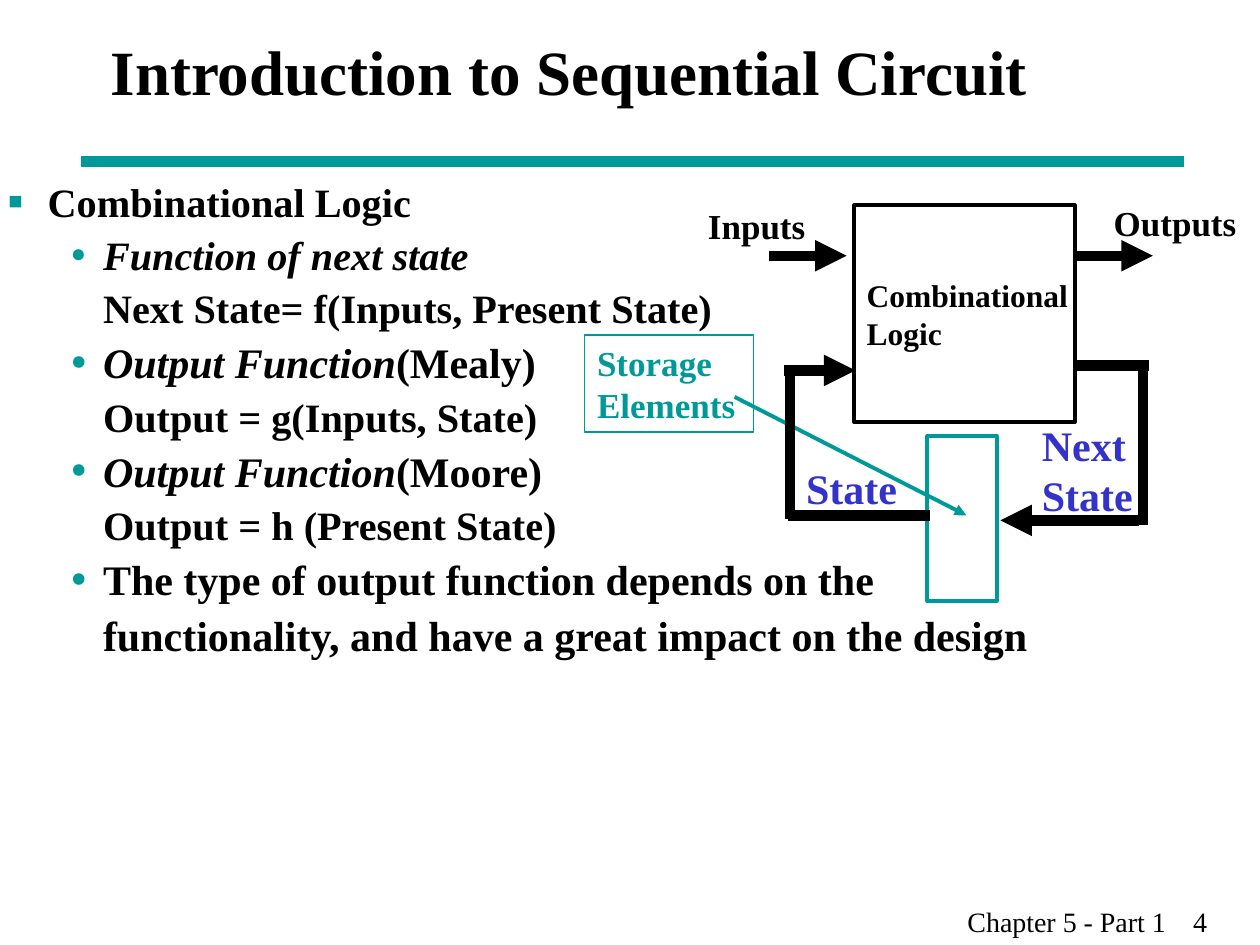
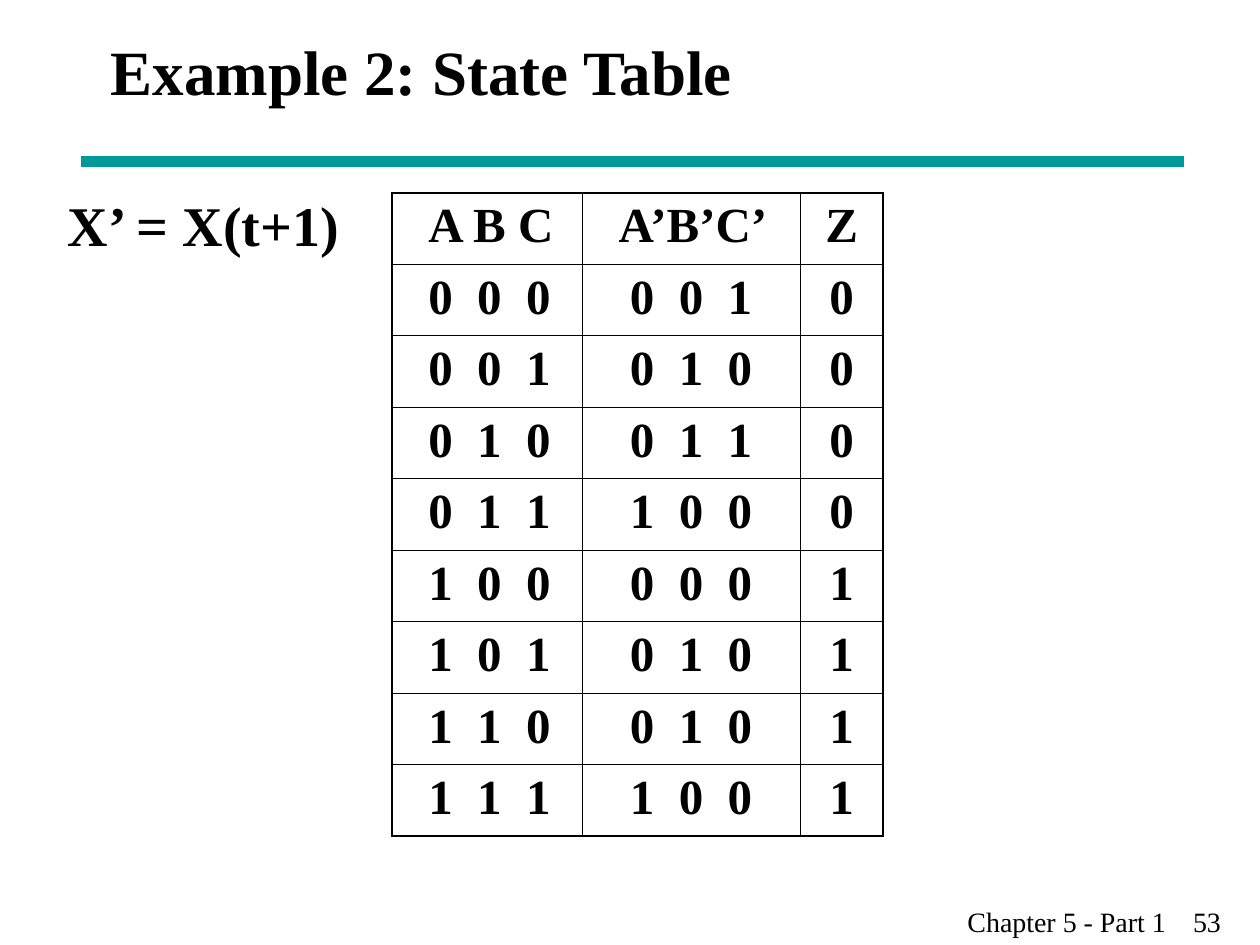
from dataclasses import dataclass

from lxml.etree import SubElement
from pptx import Presentation
from pptx.dml.color import RGBColor
from pptx.enum.shapes import MSO_CONNECTOR as Line, MSO_SHAPE as Shape
from pptx.enum.text import MSO_ANCHOR as Anchor, PP_ALIGN as Align
from pptx.oxml.ns import qn
from pptx.util import Inches, Pt

BLACK = RGBColor(0x00, 0x00, 0x00)
TEAL = RGBColor(0x00, 0x99, 0x99)
BLUE = RGBColor(0x33, 0x33, 0xCC)
FONT = "Times New Roman"
HEAVY, MEDIUM, THIN = 6, 2.25, 0.75
OUTER, INNER = 1.08, 0.45


@dataclass
class Box:
    """A region in inches, divided into a grid of columns and rows."""
    x: float
    y: float
    w: float
    h: float
    cols: int
    rows: int

    def point(self, col, row):
        """Return the slide position of a grid point."""
        return (Inches(self.x + col * self.w / self.cols),
                Inches(self.y + row * self.h / self.rows))

    def area(self, col, row, wide, high):
        """Return left, top, width and height of a grid area."""
        return (*self.point(col, row),
                Inches(wide * self.w / self.cols), Inches(high * self.h / self.rows))


SLIDE = Box(0, 0, 10, 7.5, 100, 75)
DIAGRAM = Box(4.6, 1.5, 5.5, 3.3, 55, 33)


def style(r, size, color=BLACK, bold=True, italic=False):
    """Set the look of one run."""
    r.font.name, r.font.size = FONT, Pt(size)
    r.font.bold, r.font.italic = bold, italic
    r.font.color.rgb = color


def indent(p, margin, hang=0):
    """Set the left margin and first-line indent of a paragraph."""
    pPr = p._p.get_or_add_pPr()
    pPr.set("marL", str(Inches(margin)))
    pPr.set("indent", str(Inches(hang)))
    return pPr


def bullet(pPr, char):
    """Give a paragraph a teal bullet."""
    color = SubElement(pPr, qn("a:buClr"))
    SubElement(color, qn("a:srgbClr"), val=str(TEAL))
    SubElement(pPr, qn("a:buSzPct"), val="115000")
    SubElement(pPr, qn("a:buFont"), typeface=FONT)
    SubElement(pPr, qn("a:buChar"), char=char)


def add_text(s, area, text, size, color=BLACK, bold=True, before=0, anchor=Anchor.TOP):
    """Add a wrapped text box in one style."""
    tf = s.shapes.add_textbox(*area).text_frame
    tf.word_wrap, tf.vertical_anchor = True, anchor
    tf.text = text
    p = tf.paragraphs[0]
    p.space_before = Pt(before)
    style(p.runs[0], size, color, bold)
    return tf


def add_rect(s, area, color, width):
    """Add an unfilled rectangle."""
    sp = s.shapes.add_shape(Shape.RECTANGLE, *area)
    sp.shadow.inherit = False
    sp.fill.background()
    sp.line.color.rgb, sp.line.width = color, Pt(width)
    return sp


def add_line(s, start, end, color=BLACK, width=HEAVY, arrow=False):
    """Add a straight line, with an arrowhead at its end if asked."""
    cxn = s.shapes.add_connector(Line.STRAIGHT, *start, *end)
    cxn.line.color.rgb, cxn.line.width = color, Pt(width)
    if arrow:
        SubElement(cxn.line._get_or_add_ln(), qn("a:tailEnd"), type="triangle")
    SubElement(cxn._element.spPr, qn("a:effectLst"))


def add_frame(prs, box, title, number):
    """Start a slide with its title, rule and footer."""
    s = prs.slides.add_slide(prs.slide_layouts[6])
    add_line(s, box.point(6.4, 12.8), box.point(94, 12.8), TEAL)
    tf = add_text(s, box.area(75.8, 71.3, 24.2, 3.7), f"Chapter 5 - Part 1\t{number}", 16, bold=False)
    tabs = SubElement(tf.paragraphs[0]._p.get_or_add_pPr(), qn("a:tabLst"))
    SubElement(tabs, qn("a:tab"), pos=str(Inches(1.79)), algn="l")
    add_text(s, box.area(7.8, 0, 85, 11.2), title, 36, anchor=Anchor.MIDDLE)
    return s


def add_outline(s, area, items):
    """Add the bulleted outline from (bullet, margin, hang, runs) items."""
    tf = s.shapes.add_textbox(*area).text_frame
    tf.word_wrap = True
    for i, (char, margin, hang, runs) in enumerate(items):
        p = tf.add_paragraph() if i else tf.paragraphs[0]
        p.line_spacing = 1.1
        pPr = indent(p, margin, hang)
        if char:
            bullet(pPr, char)
        for text, size, italic in runs:
            if text == "\v":
                p.add_line_break()
                continue
            r = p.add_run()
            r.text = text
            style(r, size, italic=italic)


def add_circuit(s, box):
    """Draw the sequential circuit: logic, storage and feedback."""
    logic = add_rect(s, box.area(21.8, 1.3, 17.5, 17.2), BLACK, MEDIUM)
    tf = logic.text_frame
    tf.word_wrap, tf.vertical_anchor = True, Anchor.MIDDLE
    tf.margin_left, tf.margin_right = Inches(0.1), 0
    tf.text = "Combinational\nLogic"
    for p in tf.paragraphs:
        p.alignment = Align.LEFT
        style(p.runs[0], 18)

    add_rect(s, box.area(27.6, 19.6, 5.5, 13.1), TEAL, MEDIUM)
    label = box.area(0.4, 11.6, 13.4, 7.7)
    add_rect(s, label, TEAL, THIN)
    add_text(s, label, "Storage Elements", 20, TEAL, before=12.5)
    add_line(s, box.point(12.3, 16.5), box.point(30.7, 25.9), TEAL, MEDIUM, True)

    for x1, y1, x2, y2, arrow in (
            (15, 5.3, 21.2, 5.3, True), (39.2, 5.3, 45.5, 5.3, True),
            (16.5, 25.9, 27.8, 25.9, False), (16.2, 14.4, 21.9, 14.4, True),
            (16.7, 14.1, 16.7, 26.2, False), (39.5, 14, 45.2, 14, False),
            (44.4, 26.3, 33.4, 26.3, True), (44.7, 14.2, 44.7, 26.7, False)):
        add_line(s, box.point(x1, y1), box.point(x2, y2), arrow=arrow)

    for text, area, size, color in (
            ("Inputs", (9.2, 0.7, 11.5, 4.4), 20, BLACK),
            ("Outputs", (41.4, 0.5, 13.9, 4.4), 20, BLACK),
            ("State", (17, 21.2, 9.4, 5), 24, BLUE),
            ("Next State", (35.7, 17.8, 11.1, 9), 24, BLUE)):
        add_text(s, box.area(*area), text, size, color, before=size * 0.625)


def set_borders(cell, widths):
    """Set the left, right, top and bottom borders of a cell."""
    tcPr = cell._tc.get_or_add_tcPr()
    for side, width in zip("LRTB", widths):
        ln = SubElement(tcPr, qn(f"a:ln{side}"), w=str(Pt(width)))
        SubElement(SubElement(ln, qn("a:solidFill")), qn("a:srgbClr"), val=str(BLACK))


def add_state_table(s, area, col_widths, rows):
    """Add the state table with a heavier outer border."""
    last_row, last_col = len(rows) - 1, len(col_widths) - 1
    table = s.shapes.add_table(len(rows), len(col_widths), *area).table
    table.first_row = table.horz_banding = False
    for col, width in zip(table.columns, col_widths):
        col.width = Inches(width)
    for i, row in enumerate(rows):
        for j, text in enumerate(row):
            cell = table.cell(i, j)
            cell.text = text
            p = cell.text_frame.paragraphs[0]
            p.space_before = Pt(7)
            style(p.runs[0], 28)
            if i and j:
                p.alignment = Align.CENTER
            else:
                indent(p, 0.1 if j == last_col else 0.19)
            if i and j < last_col:
                p.runs[0]._r.get_or_add_rPr().set("spc", "350")
            edges = (j == 0, j == last_col, i == 0, i == last_row)
            set_borders(cell, [OUTER if edge else INNER for edge in edges])
            cell.fill.background()


def build_intro(prs, box):
    """Build the slide introducing sequential circuits."""
    s = add_frame(prs, box, "Introduction to Sequential Circuit", 4)
    point, follow = ("•", 0.76, -0.26), (None, 0.76, 0)
    add_outline(s, box.area(-0.4, 13.2, 85, 55), [
        ("▪", 0.32, -0.32, [("Combinational Logic", 23, False)]),
        (*point, [("Function of next state", 23, True), ("\v", 23, False),
                  ("Next State= f(Inputs, Present State)", 23, False)]),
        (*point, [("Output Function", 24, True), ("(Mealy)", 24, False)]),
        (*follow, [("Output = g(Inputs, State)", 23, False)]),
        (*point, [("Output Function", 24, True), ("(Moore)", 24, False)]),
        (*follow, [("Output = h (Present State)", 23, False)]),
        (*point, [("The type of output function depends on the functionality, "
                   "and have a great impact on the design", 24, False)]),
    ])
    add_circuit(s, DIAGRAM)


def build_state_table(prs, box):
    """Build the slide with the state table of example 2."""
    s = add_frame(prs, box, "Example 2: State Table", 53)
    next_states = ("001", "010", "011", "100", "000", "010", "010", "100")
    rows = [("A B C", "A’B’C’", "Z")]
    for n, following in enumerate(next_states):
        rows.append((" ".join(f"{n:03b}"), " ".join(following), str(n // 4)))
    add_state_table(s, box.area(31.1, 15.3, 39, 51), (1.51, 1.73, 0.66), rows)
    add_text(s, box.area(4.4, 14.6, 25.4, 6.4), "X’ = X(t+1)", 32, before=20)


prs = Presentation()
prs.slide_width, prs.slide_height = Inches(SLIDE.w), Inches(SLIDE.h)
build_intro(prs, SLIDE)
build_state_table(prs, SLIDE)
prs.save("out.pptx")
